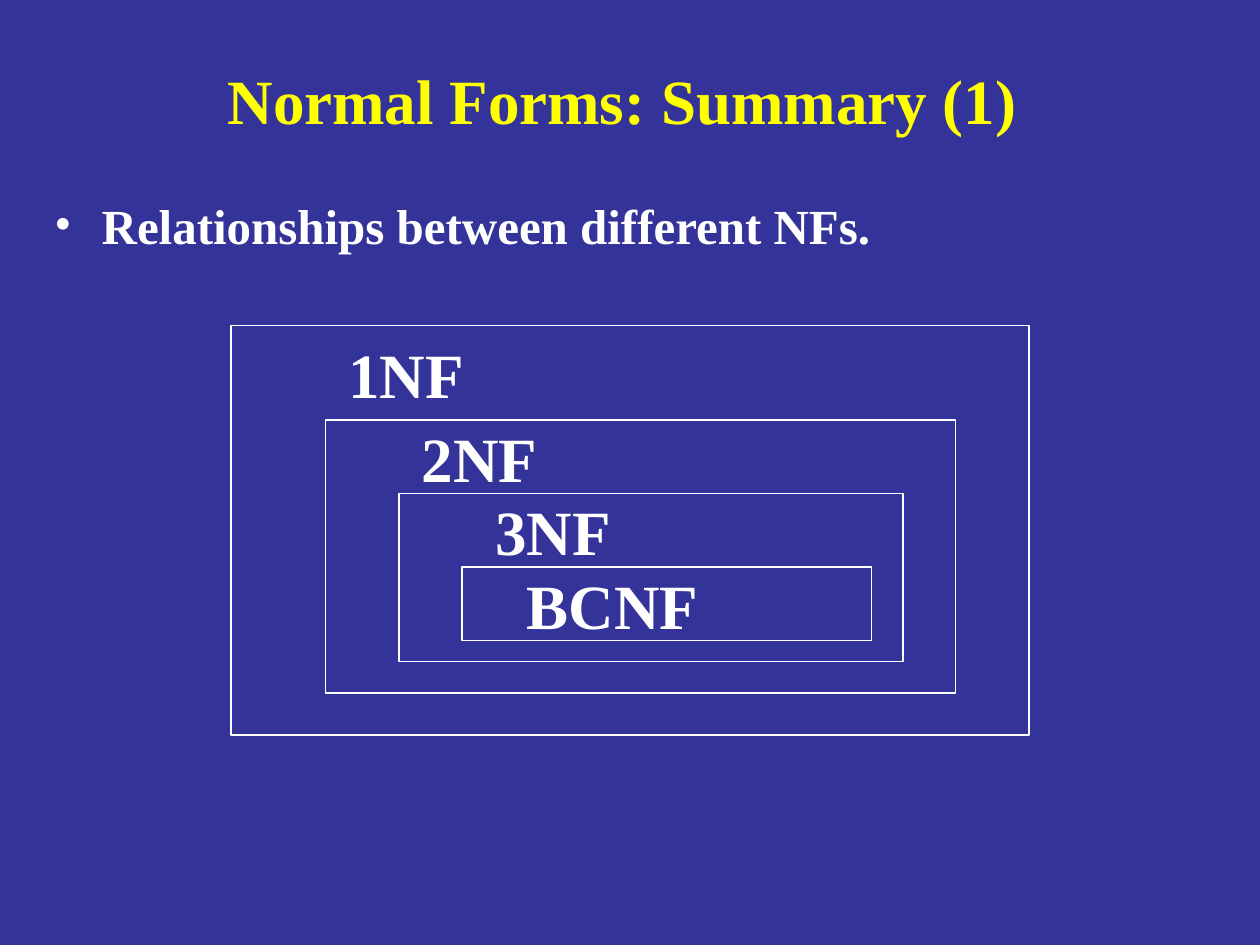
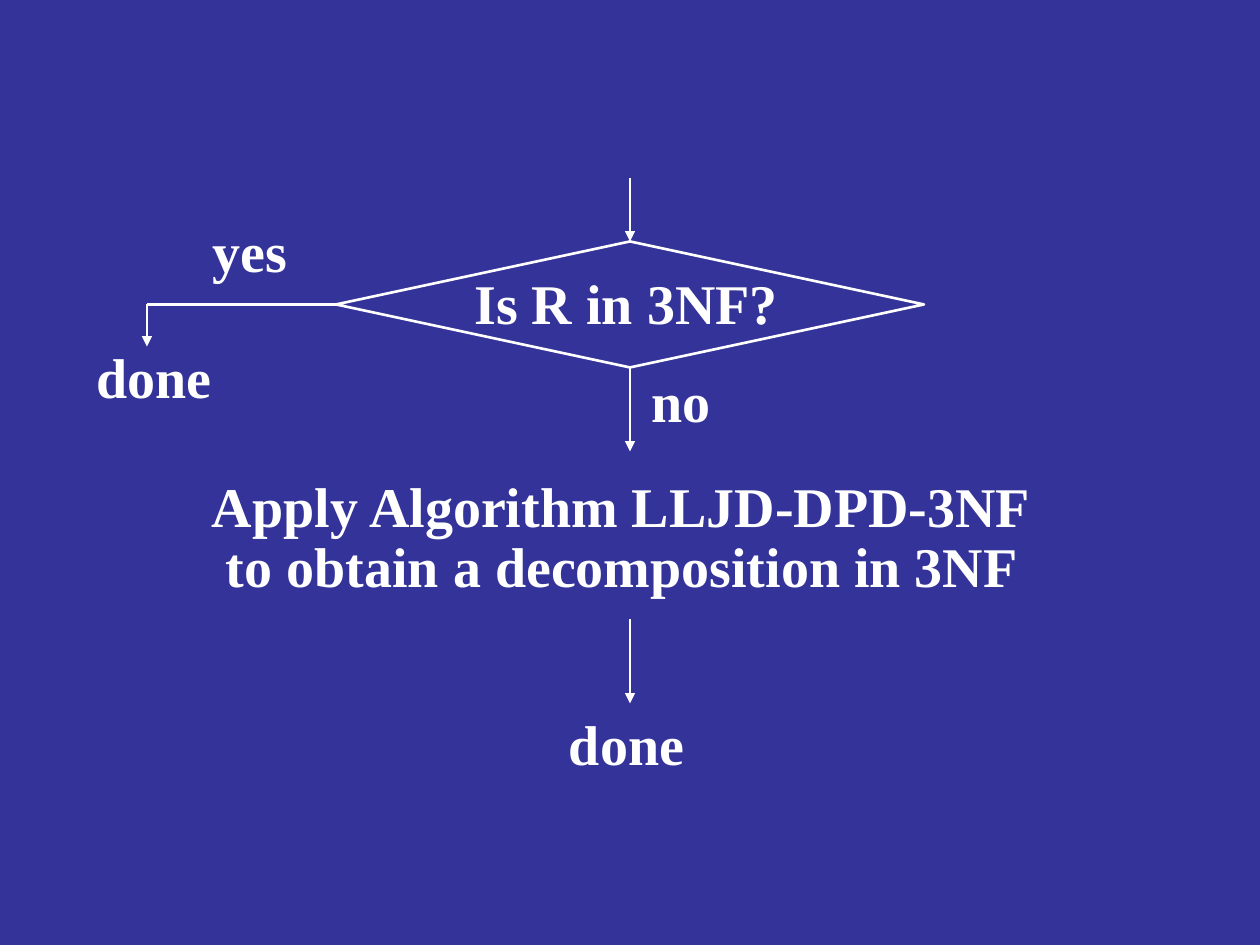
from lxml import etree
from pptx import Presentation
from pptx.dml.color import RGBColor
from pptx.enum.shapes import MSO_CONNECTOR, MSO_SHAPE
from pptx.enum.text import MSO_ANCHOR, PP_ALIGN
from pptx.oxml.ns import qn
from pptx.util import Pt

STRAIGHT = MSO_CONNECTOR.STRAIGHT
RECT, DIAMOND = MSO_SHAPE.RECTANGLE, MSO_SHAPE.DIAMOND
LEFT, CENTER = PP_ALIGN.LEFT, PP_ALIGN.CENTER
TOP, MIDDLE = MSO_ANCHOR.TOP, MSO_ANCHOR.MIDDLE
FONT = "Times New Roman"
BLUE, WHITE, YELLOW = "333399", "FFFFFF", "FFFF00"
SITE_TOP, SITE_LEFT, SITE_BOTTOM = 0, 1, 2


def rgb(color):
    return RGBColor.from_string(color)


def new_slide(prs):
    s = prs.slides.add_slide(prs.slide_layouts[6])
    s.background.fill.solid()
    s.background.fill.fore_color.rgb = rgb(BLUE)
    return s


def add_text(s, text, x, y, w, h, size=32, color=WHITE, align=LEFT,
             anchor=TOP, wrap=False, spacing=None, before=0, bullet=None):
    tf = s.shapes.add_textbox(Pt(x), Pt(y), Pt(w), Pt(h)).text_frame
    tf.word_wrap = wrap
    tf.vertical_anchor = anchor
    for i, line in enumerate(text.split("\n")):
        p = tf.paragraphs[0] if i == 0 else tf.add_paragraph()
        p.alignment = align
        p.line_spacing = spacing
        p.space_before = Pt(before)
        if bullet:
            pPr = p._p.get_or_add_pPr()
            pPr.set("marL", str(Pt(27)))
            pPr.set("indent", str(-Pt(27)))
            etree.SubElement(pPr, qn("a:buFont")).set("typeface", FONT)
            etree.SubElement(pPr, qn("a:buChar")).set("char", bullet)
        r = p.add_run()
        r.text = line
        r.font.name, r.font.size, r.font.bold = FONT, Pt(size), True
        r.font.color.rgb = rgb(color)


def add_outline(s, kind, x, y, w, h, weight):
    sp = s.shapes.add_shape(kind, Pt(x), Pt(y), Pt(w), Pt(h))
    sp.shadow.inherit = False
    sp.fill.background()
    sp.line.color.rgb = rgb(WHITE)
    sp.line.width = Pt(weight)
    return sp


def add_line(s, x1, y1, x2, y2, arrow=True):
    line = s.shapes.add_connector(STRAIGHT, Pt(x1), Pt(y1), Pt(x2), Pt(y2))
    line.line.color.rgb = rgb(WHITE)
    line.line.width = Pt(1.5)
    if arrow:
        ln = line.line._get_or_add_ln()
        etree.SubElement(ln, qn("a:tailEnd")).set("type", "triangle")
    etree.SubElement(line._element.spPr, qn("a:effectLst"))
    return line


def add_heading(s, title, point):
    add_text(s, title, 54, 24, 612, 66, size=36, color=YELLOW,
             align=CENTER, anchor=MIDDLE, wrap=True)
    add_text(s, point, 24, 108, 672, 390, size=28, wrap=True,
             before=5, bullet="•")


def add_nested_forms(s, x, y):
    forms = [
        ("1NF", 0, 0, 456, 234, 60, 2, 84),
        ("2NF", 54, 54, 360, 156, 48, -4, 84),
        ("3NF", 96, 96, 288, 96, 48, -4, 84),
        ("BCNF", 132, 138, 234, 42, 30, -4, 116),
    ]
    for name, dx, dy, w, h, label_dx, label_dy, label_w in forms:
        add_outline(s, RECT, x + dx, y + dy, w, h, 0.75)
        add_text(s, name, x + dx + label_dx, y + dy + label_dy,
                 label_w, 50, size=36)


def add_decision(s, x, y, w, h):
    mid_x, mid_y, bottom = x + w / 2, y + h / 2, y + h
    done_x = x - 108
    diamond = add_outline(s, DIAMOND, x, y, w, h, 1.5)
    add_text(s, "Is R in 3NF?", x + 72, y + 12, 192, 46)

    add_line(s, mid_x, y - 36, mid_x, y).end_connect(diamond, SITE_TOP)
    no_arrow = add_line(s, mid_x, bottom, mid_x, bottom + 48)
    no_arrow.begin_connect(diamond, SITE_BOTTOM)
    add_text(s, "no", mid_x + 5, bottom - 4, 52, 46)

    yes_line = add_line(s, x, mid_y, done_x, mid_y, arrow=False)
    yes_line.begin_connect(diamond, SITE_LEFT)
    add_line(s, done_x, mid_y, done_x, mid_y + 24)
    add_text(s, "yes", x - 77.5, y - 18, 60, 46)
    add_text(s, "done", done_x - 36, mid_y + 18, 84, 46)


def add_decomposition(s, x, y, w, h):
    mid_x, arrow_y = 360, y + h + 8
    add_text(s, "Apply Algorithm LLJD-DPD-3NF\n to obtain a decomposition in 3NF",
             x, y, w, h, wrap=True, spacing=0.9)
    add_line(s, mid_x, arrow_y, mid_x, arrow_y + 48)
    add_text(s, "done", mid_x - 42, arrow_y + 48, 84, 46)


def main():
    prs = Presentation()
    prs.slide_width, prs.slide_height = Pt(720), Pt(540)

    s = new_slide(prs)
    add_heading(s, "Normal Forms: Summary (1) ",
                "Relationships between different NFs.")
    add_nested_forms(s, 132, 186)

    s = new_slide(prs)
    add_decision(s, 192, 138, 336, 72)
    add_decomposition(s, 114, 270, 495, 76)

    prs.save("out.pptx")


if __name__ == "__main__":
    main()
